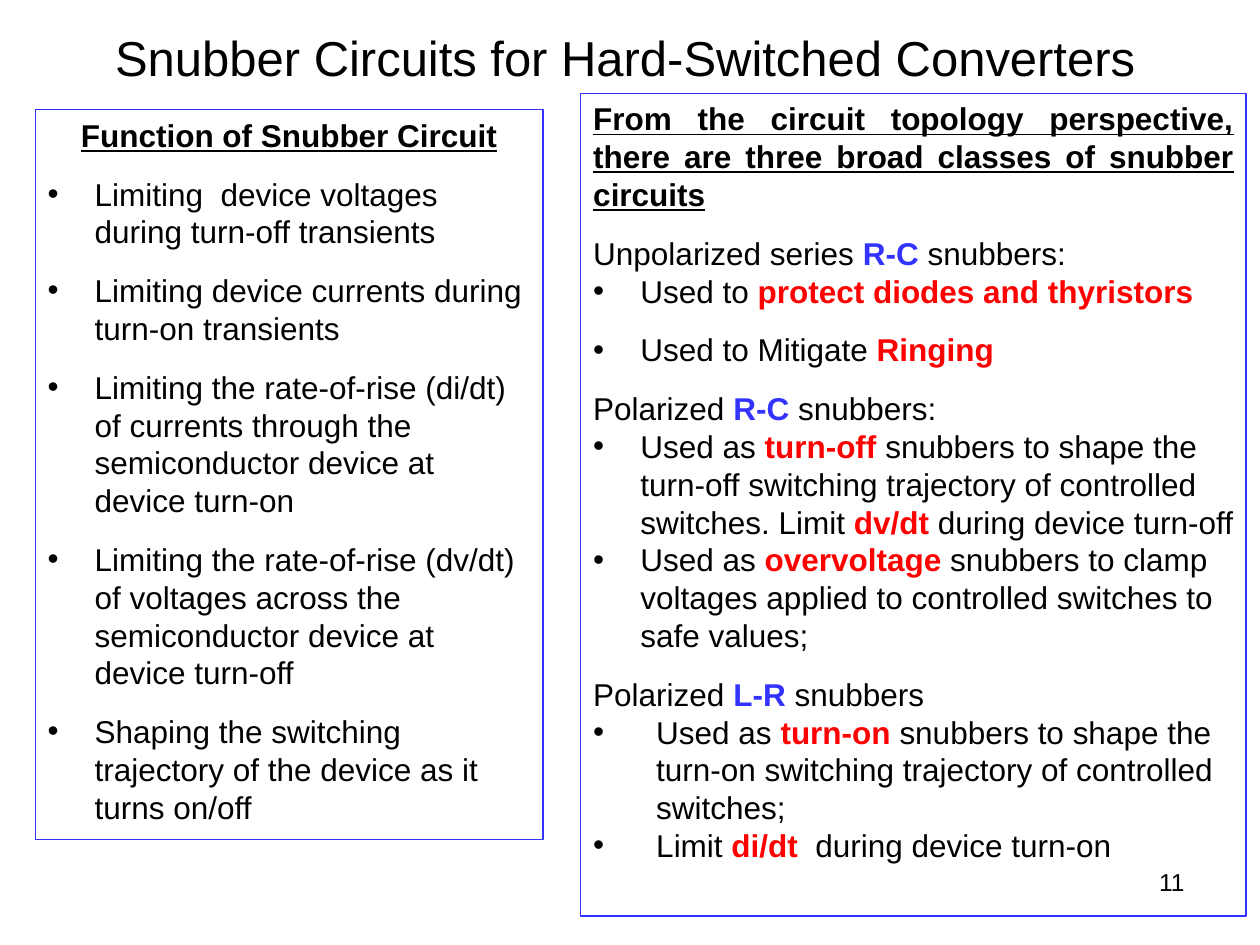
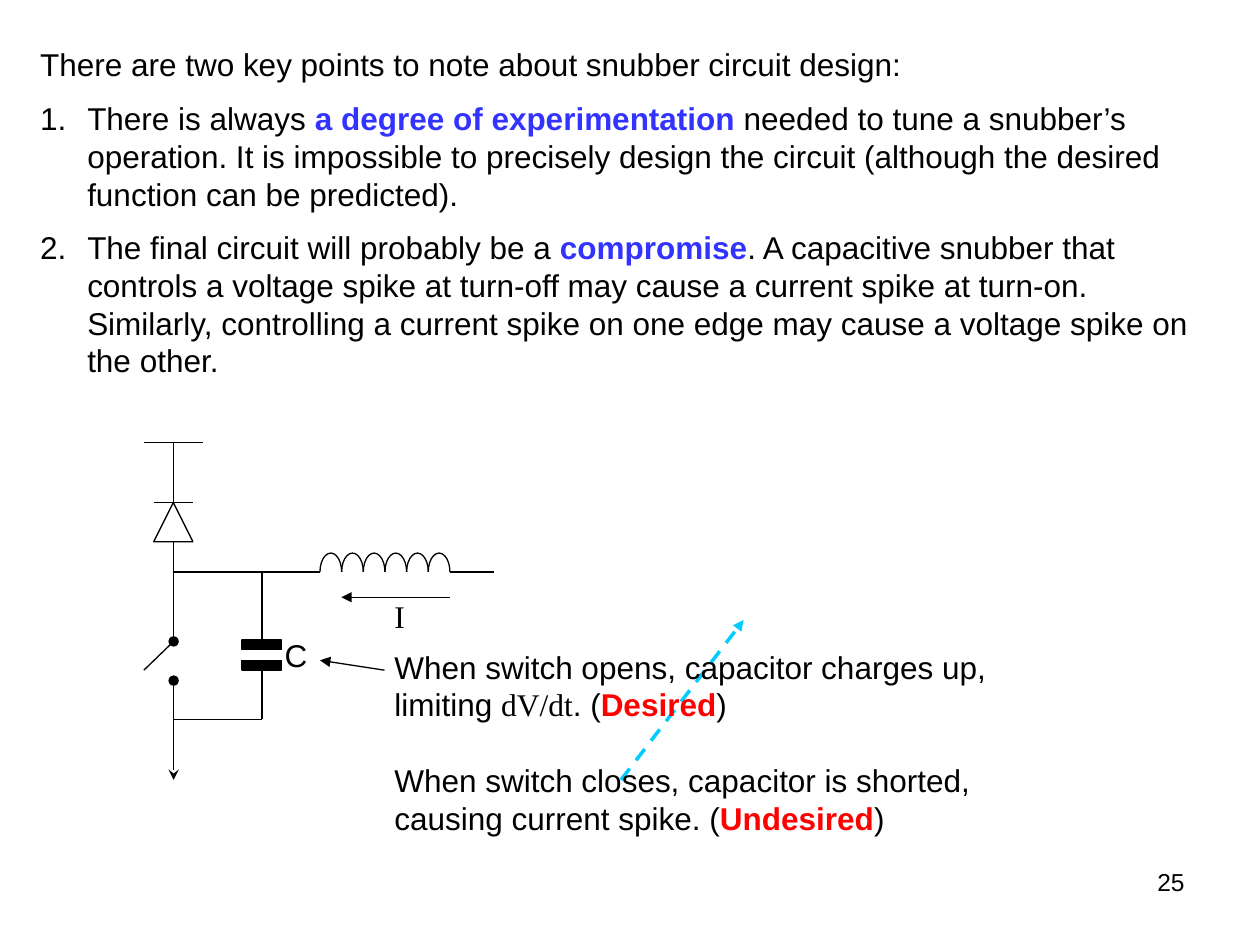
from lxml.etree import SubElement
from pptx import Presentation
from pptx.dml.color import RGBColor
from pptx.enum.dml import MSO_LINE
from pptx.enum.shapes import MSO_CONNECTOR, MSO_SHAPE
from pptx.enum.text import MSO_ANCHOR, PP_ALIGN
from pptx.oxml.ns import qn
from pptx.util import Cm, Pt

BLACK = "000000"
BLUE = "3333FF"
RED = "FF0000"
CYAN = "00CCFF"
SANS = "Arial"
SERIF = "Times New Roman"
BODY_SIZE = 18
TITLE_SIZE = 28
NUMBER_SIZE = 14
LINE_WIDTH = 0.75
HANGING = 0.95
WIDE_HANGING = 1.27


def color(value):
    return RGBColor.from_string(value)


def plain(text, font=SANS):
    return text, BLACK, False, False, font


def key(text, value=RED):
    return text, value, True, False, SANS


def heading(text):
    return text, BLACK, True, True, SANS


def add_run(paragraph, run_data, size):
    text, value, bold, underline, font = run_data
    run = paragraph.add_run()
    run.text = text
    run.font.name = font
    run.font.size = Pt(size)
    run.font.bold = bold
    run.font.underline = underline
    run.font.color.rgb = color(value)


def set_marker(paragraph, marker, indent):
    properties = paragraph._p.get_or_add_pPr()
    properties.set("marL", str(Cm(indent)))
    properties.set("indent", str(-Cm(indent)))
    if marker == "number":
        SubElement(properties, qn("a:buFont"), typeface=SANS)
        SubElement(properties, qn("a:buAutoNum"), type="arabicPeriod")
    else:
        SubElement(properties, qn("a:buFont"), typeface=SANS)
        SubElement(properties, qn("a:buChar"), char="•")


def write(frame, runs, size=BODY_SIZE, align=PP_ALIGN.LEFT, before=0, after=0,
          marker=None, indent=HANGING):
    paragraph = frame.paragraphs[0]
    if paragraph.runs:
        paragraph = frame.add_paragraph()
    paragraph.alignment = align
    paragraph.line_spacing = Pt(size * 1.2)
    paragraph.space_before = Pt(before)
    paragraph.space_after = Pt(after)
    if marker:
        set_marker(paragraph, marker, indent)
    for run_data in runs:
        add_run(paragraph, run_data, size)


def add_text_box(slide, left, top, width, height, wrap=True):
    box = slide.shapes.add_textbox(Cm(left), Cm(top), Cm(width), Cm(height))
    box.text_frame.word_wrap = wrap
    return box.text_frame


def add_page_number(slide, number):
    frame = add_text_box(slide, 18.21, 17.35, 5.92, 1.32)
    write(frame, [plain(number)], NUMBER_SIZE, PP_ALIGN.RIGHT)


def add_title(slide, text):
    title = slide.shapes.title
    title.left, title.top, title.width, title.height = map(Cm, (1.07, 0.43, 23.06, 1.45))
    frame = title.text_frame
    frame.word_wrap = True
    frame.vertical_anchor = MSO_ANCHOR.TOP
    write(frame, [plain(text)], TITLE_SIZE, PP_ALIGN.CENTER)


def add_outline(slide, kind, left, top, width, height, fill=None, line=BLACK):
    shape = slide.shapes.add_shape(kind, Cm(left), Cm(top), Cm(width), Cm(height))
    shape.shadow.inherit = False
    if fill:
        shape.fill.solid()
        shape.fill.fore_color.rgb = color(fill)
    else:
        shape.fill.background()
    shape.line.color.rgb = color(line)
    shape.line.width = Pt(LINE_WIDTH)
    return shape


def add_framed_text(slide, left, top, width, height):
    shape = add_outline(slide, MSO_SHAPE.RECTANGLE, left, top, width, height, line=BLUE)
    frame = shape.text_frame
    frame.word_wrap = True
    frame.vertical_anchor = MSO_ANCHOR.TOP
    return frame


def add_wire(slide, start, end, head=None, tail=None, value=BLACK, width=LINE_WIDTH,
             dashed=False):
    points = map(Cm, (*start, *end))
    wire = slide.shapes.add_connector(MSO_CONNECTOR.STRAIGHT, *points)
    wire.line.color.rgb = color(value)
    wire.line.width = Pt(width)
    if dashed:
        wire.line.dash_style = MSO_LINE.DASH
    line_element = wire.line._get_or_add_ln()
    if head:
        SubElement(line_element, qn("a:headEnd"), type=head)
    if tail:
        SubElement(line_element, qn("a:tailEnd"), type=tail)
    SubElement(wire._element.spPr, qn("a:effectLst"))


def add_coil(slide, left, right, axis, turns=6, height=0.76):
    pitch = (right - left) / turns
    for turn in range(turns):
        arc = add_outline(slide, MSO_SHAPE.ARC, left + turn * pitch, axis - height / 2,
                          pitch, height)
        arc.adjustments[0] = 108
        arc.adjustments[1] = 0


def add_circuit(slide):
    rail, branch, node, ground = 3.5, 5.28, 11.53, 14.5
    coil_left, coil_right = 6.45, 9.07
    bar_top, cathode, anode = 8.92, 10.13, 10.92
    contact_top, contact_bottom = 12.93, 13.72

    add_coil(slide, coil_left, coil_right, node)
    for plate_top in (12.9, 13.31):
        add_outline(slide, MSO_SHAPE.RECTANGLE, 4.88, plate_top, 0.79, 0.2, BLACK)
    add_outline(slide, MSO_SHAPE.ISOSCELES_TRIANGLE, 3.1, cathode, 0.79, anode - cathode)

    wires = [
        ((2.9, bar_top), (4.09, bar_top)),
        ((rail, bar_top), (rail, cathode)),
        ((3.1, cathode), (3.89, cathode)),
        ((rail, node), (coil_left, node)),
        ((coil_right, node), (9.96, node)),
        ((branch, node), (branch, 12.9)),
        ((branch, ground), (branch, 13.51)),
        ((branch, ground), (rail, ground)),
        ((rail, contact_top), (2.9, 13.51)),
    ]
    for start, end in wires:
        add_wire(slide, start, end)
    add_wire(slide, (rail, anode), (rail, contact_top), tail="oval")
    add_wire(slide, (rail, contact_bottom), (rail, 15.72), head="oval", tail="stealth")
    add_wire(slide, (coil_right, 12.04), (6.88, 12.04), tail="triangle")
    add_wire(slide, (7.75, 13.51), (6.45, 13.31), tail="triangle")

    write(add_text_box(slide, 5.49, 12.7, 0.97, 1.02, False), [plain("C")])
    write(add_text_box(slide, 7.7, 11.91, 0.71, 1.02, False), [plain("I", SERIF)])


def build_classes_slide(presentation):
    slide = presentation.slides.add_slide(presentation.slide_layouts[5])
    add_title(slide, "Snubber Circuits for Hard-Switched Converters")
    add_page_number(slide, "11")

    functions = add_framed_text(slide, 0.71, 2.21, 10.24, 14.71)
    write(functions, [heading("Function of Snubber Circuit")], align=PP_ALIGN.CENTER, after=12)
    for text in (
        "Limiting  device voltages during turn-off transients",
        "Limiting device currents during turn-on transients",
        "Limiting the rate-of-rise (di/dt) of currents through the semiconductor device "
        "at device turn-on",
        "Limiting the rate-of-rise (dv/dt) of voltages across the semiconductor device "
        "at device turn-off",
        "Shaping the switching trajectory of the device as it turns on/off",
    ):
        write(functions, [plain(text)], after=12, marker="bullet")

    classes = add_framed_text(slide, 11.71, 1.88, 13.41, 16.59)
    write(classes, [heading("From the circuit topology perspective, there are three broad "
                            "classes of snubber circuits")], align=PP_ALIGN.JUSTIFY, after=12)
    groups = [
        ([plain("Unpolarized series "), key("R-C ", BLUE), plain("snubbers:")], HANGING, [
            ([plain("Used to "), key("protect diodes and thyristors")], 12),
            ([plain("Used to Mitigate "), key("Ringing")], 12),
        ]),
        ([plain("Polarized "), key("R-C", BLUE), plain(" snubbers:")], HANGING, [
            ([plain("Used as "), key("turn-off"),
              plain(" snubbers to shape the turn-off switching trajectory of controlled "
                    "switches. Limit "),
              key("dv/dt "), plain("during device turn-off")], 0),
            ([plain("Used as "), key("overvoltage"),
              plain(" snubbers to clamp voltages applied to controlled switches to "
                    "safe values;")], 12),
        ]),
        ([plain("Polarized "), key("L-R", BLUE), plain(" snubbers")], WIDE_HANGING, [
            ([plain("Used as "), key("turn-on"),
              plain(" snubbers to shape the turn-on switching trajectory of controlled "
                    "switches;")], 0),
            ([plain("Limit "), key("di/dt "), plain(" during device turn-on")], 0),
        ]),
    ]
    for name, indent, uses in groups:
        write(classes, name)
        for runs, after in uses:
            write(classes, runs, after=after, marker="bullet", indent=indent)


def build_design_slide(presentation):
    slide = presentation.slides.add_slide(presentation.slide_layouts[6])
    add_page_number(slide, "25")
    add_wire(slide, (12.52, 15.72), (14.99, 12.5), tail="triangle", value=CYAN, width=2,
             dashed=True)

    points = add_text_box(slide, 0.56, 0.79, 24.33, 7.19)
    write(points, [plain("There are two key points to note about snubber circuit design:")])
    for runs in (
        [plain("There is always "), key("a degree of experimentation ", BLUE),
         plain("needed to tune a snubber’s operation. It is impossible to precisely design "
               "the circuit (although the desired function can be predicted).")],
        [plain("The final circuit will probably be a "), key("compromise", BLUE),
         plain(". A capacitive snubber that controls a voltage spike at turn-off may cause a "
               "current spike at turn-on. Similarly, controlling a current spike on one edge "
               "may cause a voltage spike on the other.")],
    ):
        write(points, runs, before=9, marker="number")

    add_circuit(slide)

    effects = add_text_box(slide, 7.7, 12.93, 13.82, 4.06)
    write(effects, [plain("When switch opens, capacitor charges up, limiting "),
                    plain("dV/dt", SERIF), plain(". ("), key("Desired"), plain(")")])
    write(effects, [plain("When switch closes, capacitor is shorted, causing current spike. ("),
                    key("Undesired"), plain(")")], before=BODY_SIZE * 1.2)


def main():
    presentation = Presentation()
    presentation.slide_width = Cm(25.4)
    presentation.slide_height = Cm(19.05)
    build_classes_slide(presentation)
    build_design_slide(presentation)
    presentation.save("out.pptx")


if __name__ == "__main__":
    main()
